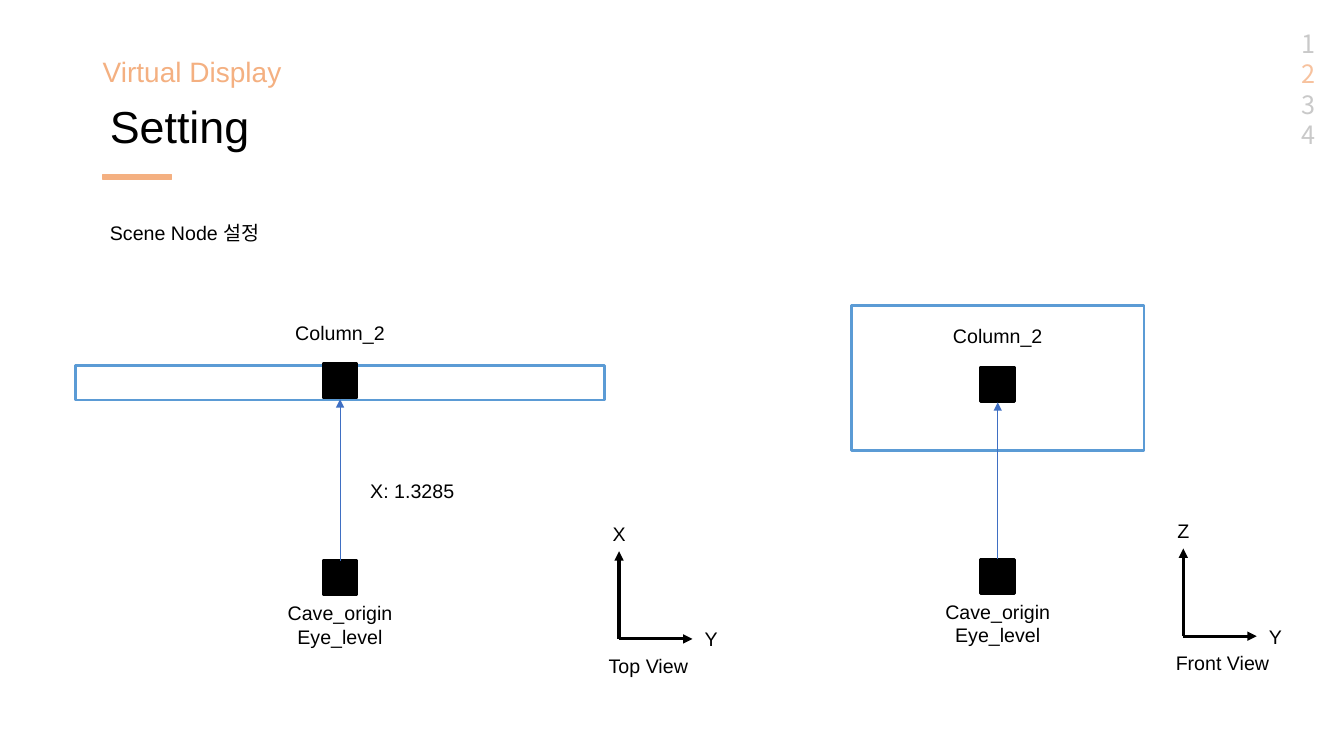
from collections import namedtuple

from lxml import etree
from pptx import Presentation
from pptx.dml.color import RGBColor
from pptx.enum.shapes import MSO_CONNECTOR, MSO_SHAPE
from pptx.enum.text import MSO_ANCHOR, PP_ALIGN
from pptx.oxml.ns import qn
from pptx.util import Cm, Pt

COLORS = {
    "accent": "F4B081",
    "current": "F7C29E",
    "muted": "C9C9C9",
    "ink": "000000",
    "paper": "FFFFFF",
    "screen": "5B9BD5",
    "offset": "3F6FC3",
}
LATIN = "Arial"
KOREAN = "Noto Sans CJK KR"
NODE = 0.86
LABEL_HEIGHT = 0.86
Box = namedtuple("Box", "left top width height")


def rgb(name):
    return RGBColor.from_string(COLORS[name])


def add_box(slide, box, fill, line, width=2):
    shape = slide.shapes.add_shape(MSO_SHAPE.RECTANGLE, *map(Cm, box))
    shape.shadow.inherit = False
    shape.fill.solid()
    shape.fill.fore_color.rgb = rgb(fill)
    shape.line.color.rgb = rgb(line)
    shape.line.width = Pt(width)


def add_text(slide, box, lines, size=14, colors=("ink",), align=PP_ALIGN.CENTER,
             anchor=MSO_ANCHOR.TOP, font=LATIN, spacing=None):
    frame = slide.shapes.add_textbox(*map(Cm, box)).text_frame
    frame.word_wrap = True
    frame.vertical_anchor = anchor
    for index, line in enumerate(lines):
        paragraph = frame.paragraphs[0] if index == 0 else frame.add_paragraph()
        paragraph.alignment = align
        paragraph.line_spacing = spacing
        run = paragraph.add_run()
        run.text = line
        run.font.size = Pt(size)
        run.font.name = font
        run.font.color.rgb = rgb(colors[index % len(colors)])
        etree.SubElement(run.font._element, qn("a:ea"), typeface=KOREAN)


def add_arrow(slide, start, end, color, width):
    arrow = slide.shapes.add_connector(MSO_CONNECTOR.STRAIGHT, *map(Cm, start + end))
    arrow.line.color.rgb = rgb(color)
    arrow.line.width = Pt(width)
    etree.SubElement(arrow.line._get_or_add_ln(), qn("a:tailEnd"), type="triangle")
    etree.SubElement(arrow._element.spPr, qn("a:effectLst"))


def add_header(slide, box):
    left, top, width, height = box
    heading = dict(align=PP_ALIGN.LEFT, anchor=MSO_ANCHOR.MIDDLE, spacing=0.9)
    add_text(slide, Box(left, top, 5.9, 1.55), ["Virtual Display"], 20, ["accent"], **heading)
    add_text(slide, Box(left + 0.18, top + 0.79, width, 2.79), ["Setting"], 32, **heading)
    add_box(slide, Box(left + 0.26, top + 3.33, 1.72, 0.12), "accent", "accent", 1)
    add_text(slide, Box(left + 0.18, top + height - LABEL_HEIGHT, 8.3, LABEL_HEIGHT),
             ["Scene Node 설정"], align=PP_ALIGN.LEFT)


def add_page_index(slide, box, current):
    pages = range(1, 5)
    add_text(slide, box, [str(page) for page in pages], 18,
             ["current" if page == current else "muted" for page in pages],
             PP_ALIGN.LEFT, font=KOREAN, spacing=Pt(21.8))


def add_view(slide, box, screen_offset, screen_height, distance=None):
    center = box.left + box.width / 2
    bottom = box.top + box.height
    column_top = box.top + 1.22
    origin_top = bottom - 2.34
    add_box(slide, Box(box.left, box.top + screen_offset, box.width, screen_height),
            "paper", "screen")
    for node_top in (column_top, origin_top):
        add_box(slide, Box(center - NODE / 2, node_top, NODE, NODE), "ink", "ink")
    add_arrow(slide, (center, origin_top), (center, column_top + NODE + 0.03), "offset", 0.75)
    add_text(slide, Box(center - 1.78, box.top, 3.56, LABEL_HEIGHT), ["Column_2"])
    add_text(slide, Box(center - 1.78, bottom - 1.45, 3.56, 1.45),
             ["Cave_origin", "Eye_level"])
    if distance:
        add_text(slide, Box(center + 0.51, box.top + 4, 5.38, LABEL_HEIGHT), [distance],
                 align=PP_ALIGN.LEFT)


def add_axes(slide, box, vertical, title):
    left, top, width, height = box
    corner = (left, top + height)
    add_arrow(slide, corner, (left, top), "ink", 2.25)
    add_arrow(slide, corner, (left + width, corner[1]), "ink", 2.25)
    add_text(slide, Box(left - 0.53, top - 0.86, 1.07, LABEL_HEIGHT), [vertical])
    add_text(slide, Box(left + width + 0.03, corner[1] - 0.42, 0.89, LABEL_HEIGHT), ["Y"])
    add_text(slide, Box(left - 0.51, corner[1] + 0.25, 0.5 + 0.25 * len(title), LABEL_HEIGHT),
             [title])


def main():
    deck = Presentation()
    deck.slide_width, deck.slide_height = Cm(33.87), Cm(19.05)
    slide = deck.slides.add_slide(deck.slide_layouts[6])
    add_header(slide, Box(2.34, 1.07, 29.2, 5.23))
    add_page_index(slide, Box(32.56, 0.58, 1.3, 3.33), current=2)
    add_view(slide, Box(1.9, 7.95, 13.34, 8.52), 1.27, 0.86, "X: 1.3285")
    add_axes(slide, Box(15.6, 13.89, 1.85, 2.21), "X", "Top View")
    add_view(slide, Box(21.46, 8.03, 7.37, 8.4), -0.33, 3.66)
    add_axes(slide, Box(29.82, 13.82, 1.85, 2.21), "Z", "Front View")
    deck.save("out.pptx")


main()
